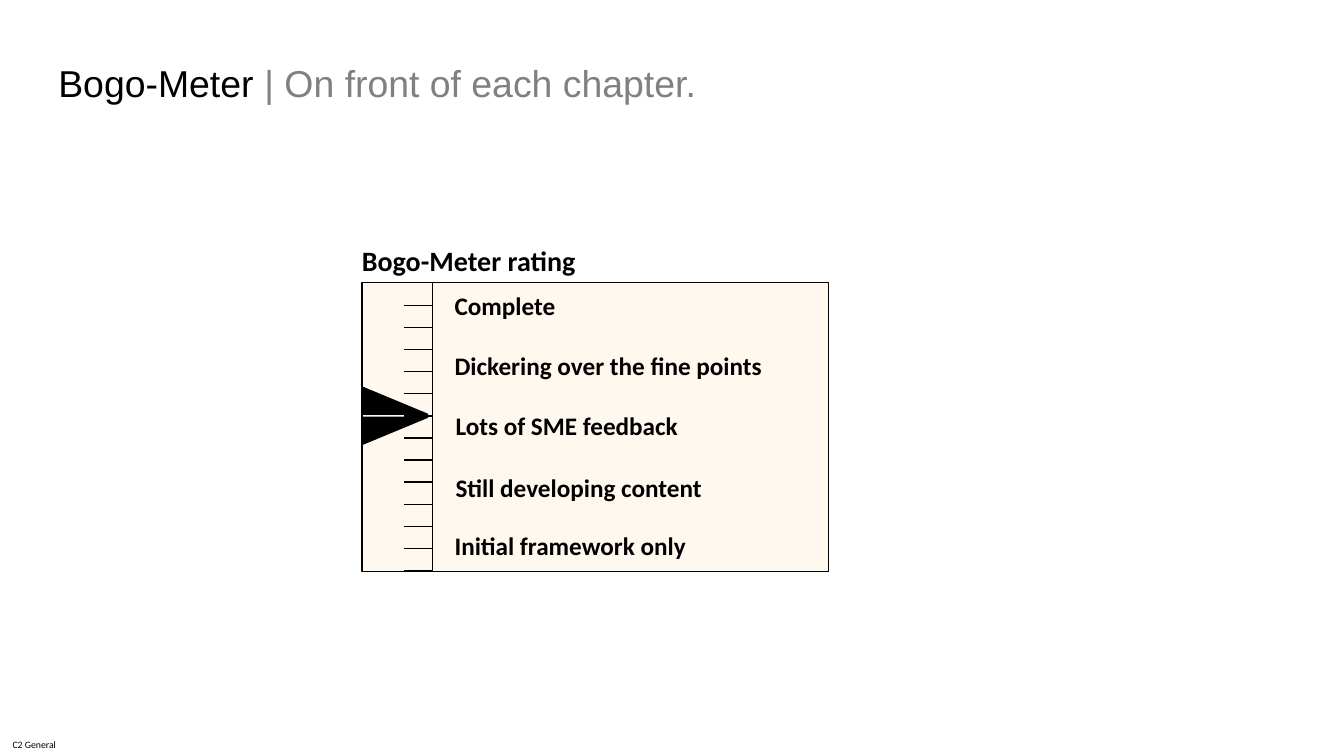
from lxml.etree import SubElement
from pptx import Presentation
from pptx.dml.color import RGBColor
from pptx.enum.shapes import MSO_CONNECTOR, MSO_SHAPE
from pptx.enum.text import MSO_ANCHOR, PP_ALIGN
from pptx.oxml.ns import qn
from pptx.util import Inches, Pt

BLACK = RGBColor(0x00, 0x00, 0x00)
GREY = RGBColor(0x80, 0x80, 0x80)
WHITE = RGBColor(0xFF, 0xFF, 0xFF)
CREAM = RGBColor(0xFF, 0xF8, 0xEE)

prs = Presentation()
prs.slide_width, prs.slide_height = Inches(13.33), Inches(7.5)
slide = prs.slides.add_slide(prs.slide_layouts[6])
shapes = slide.shapes


def add_block(kind, left, top, width, height, fill, line):
    block = shapes.add_shape(kind, Inches(left), Inches(top), Inches(width), Inches(height))
    block.shadow.inherit = False
    block.fill.solid()
    block.fill.fore_color.rgb = fill
    block.line.color.rgb = line
    block.line.width = Pt(1)
    return block


def add_run(paragraph, text, size, font="Calibri", color=BLACK, bold=False):
    run = paragraph.add_run()
    run.text = text
    run.font.size, run.font.name, run.font.bold = Pt(size), font, bold
    run.font.color.rgb = color


# Footer classification and title
classification = shapes.add_textbox(0, Inches(7.27), Inches(0.68), Inches(0.23)).text_frame
classification.margin_left = classification.margin_right = 0
classification.margin_top = classification.margin_bottom = 0
classification.vertical_anchor = MSO_ANCHOR.MIDDLE
classification.word_wrap = True
classification.paragraphs[0].alignment = PP_ALIGN.CENTER
add_run(classification.paragraphs[0], "C2 General", 7)

title = shapes.add_textbox(Inches(0.48), Inches(0.53), Inches(10.9), Inches(0.64)).text_frame
title.word_wrap = True
title.vertical_anchor = MSO_ANCHOR.MIDDLE
title.paragraphs[0].line_spacing = 0.9
add_run(title.paragraphs[0], "Bogo-Meter ", 26.7, "Arial")
add_run(title.paragraphs[0], "| On front of each chapter.", 26.7, "Arial", GREY)

# Meter panel with its heading
meter_left, meter_top, meter_width, meter_height = 3.59, 2.8, 4.63, 2.87
card_left = 3.32
card = add_block(MSO_SHAPE.RECTANGLE, card_left, 2.37, 5.17, 3.56, WHITE, WHITE).text_frame
card.vertical_anchor = MSO_ANCHOR.TOP
card.margin_left = Inches(meter_left - card_left)
card.paragraphs[0].alignment = PP_ALIGN.LEFT
add_run(card.paragraphs[0], "Bogo-Meter rating", 20, bold=True)
add_block(MSO_SHAPE.RECTANGLE, meter_left, meter_top, meter_width, meter_height, CREAM, BLACK)

# Scale: one vertical axis and evenly spaced ticks
axis_x, scale_bottom = 4.29, 5.66
tick_count, first_tick, tick_length = 13, 3.03, 0.28
tick_gap = (scale_bottom - first_tick) / (tick_count - 1)
scale_lines = [(axis_x, meter_top, axis_x, scale_bottom)]
for i in range(tick_count):
    y = first_tick + i * tick_gap
    scale_lines.append((axis_x - tick_length, y, axis_x, y))
for ends in scale_lines:
    mark = shapes.add_connector(MSO_CONNECTOR.STRAIGHT, *[Inches(end) for end in ends])
    mark.line.color.rgb = BLACK
    mark.line.width = Pt(1)
    SubElement(mark._element.spPr, qn("a:effectLst"))

# Rating levels
levels = [
    ("Complete", 4.41, 2.83, 1.21),
    ("Dickering over the fine points", 4.41, 3.43, 3.28),
    ("Lots of SME feedback", 4.42, 4.02, 2.43),
    ("Still developing content", 4.42, 4.64, 2.66),
    ("Initial framework only", 4.41, 5.21, 2.52),
]
for level, left, top, width in levels:
    label = shapes.add_textbox(Inches(left), Inches(top), Inches(width), Inches(0.4)).text_frame
    label.word_wrap = False
    add_run(label.paragraphs[0], level, 18, bold=True)

# Pointer: two mirrored halves
for top, flip in ((3.84, "0"), (4.14, "1")):
    half = add_block(MSO_SHAPE.RIGHT_TRIANGLE, meter_left, top, 0.65, 0.27, BLACK, BLACK)
    half._element.spPr.xfrm.set("flipV", flip)

prs.save("out.pptx")
